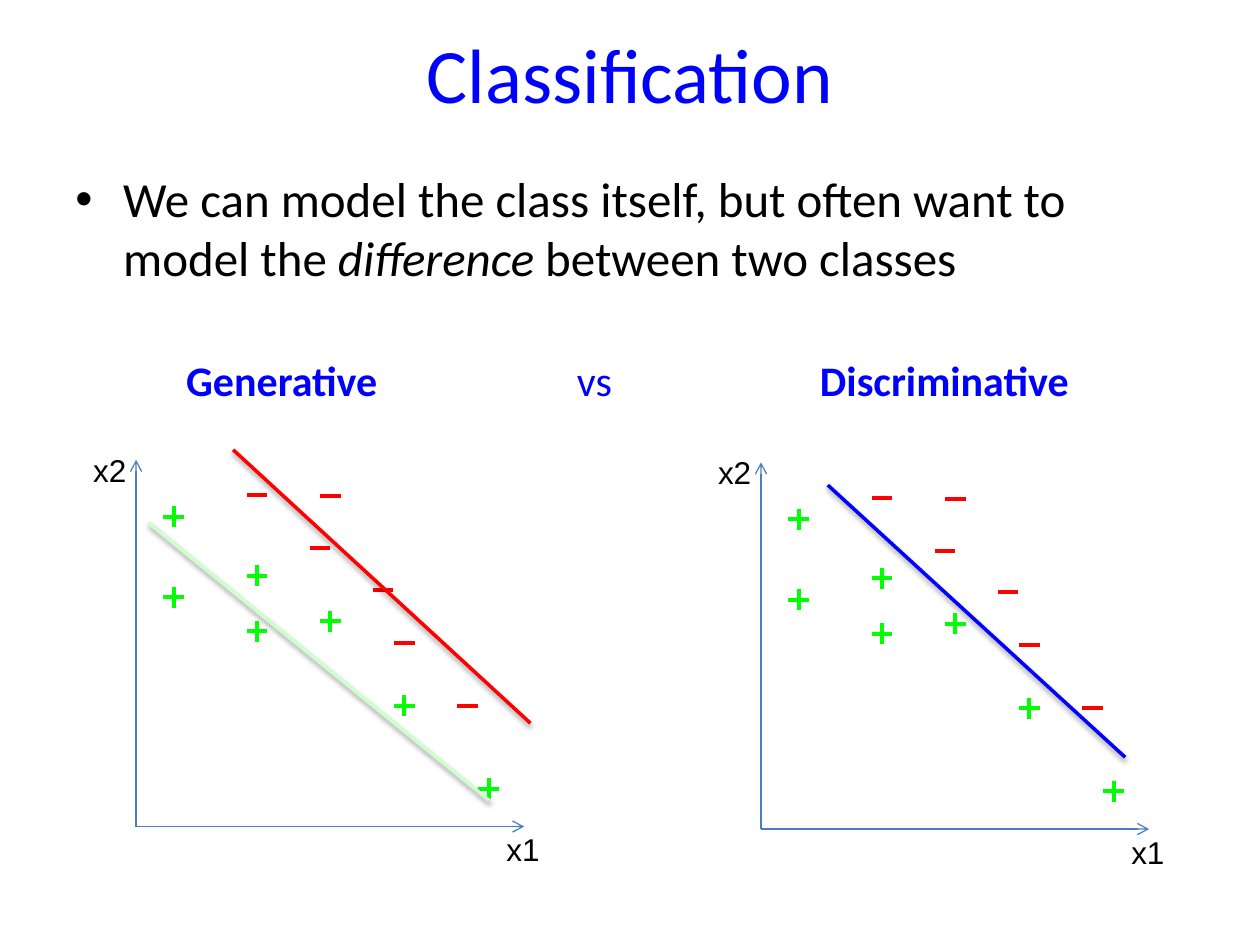
from lxml.etree import SubElement
from pptx import Presentation
from pptx.dml.color import RGBColor
from pptx.enum.shapes import MSO_CONNECTOR as Connector
from pptx.enum.text import MSO_ANCHOR as Anchor, PP_ALIGN as Align
from pptx.oxml.ns import qn
from pptx.util import Inches, Pt

BLUE = RGBColor(0x00, 0x00, 0xFF)
RED = RGBColor(0xFF, 0x00, 0x00)
GREEN = RGBColor(0x00, 0xFF, 0x00)
PALE_GREEN = RGBColor(0xCC, 0xFF, 0xCC)
AXIS_BLUE = RGBColor(0x4B, 0x7E, 0xBC)
BLACK = RGBColor(0x00, 0x00, 0x00)

MARK_RADIUS = 0.083
NEGATIVES = [(1.54, 2.62), (1.96, 1.88), (0.96, 2.63),
             (2.63, 0.96), (2.13, 1.46), (1.46, 2.21)]
POSITIVES = [(0.96, 1.99), (1.54, 1.63), (0.3, 1.82), (0.3, 2.46),
             (0.96, 1.55), (2.13, 0.96), (2.8, 0.3)]
GENERATIVE_LINES = [((0.1, 2.41), (2.8, 0.21), PALE_GREEN),
                    ((0.77, 2.99), (3.13, 0.82), RED)]
DISCRIMINATIVE_LINES = [((0.53, 2.73), (2.89, 0.57), BLUE)]


def format_run(run, size, color, font="Calibri", bold=False, italic=False):
    run.font.name = font
    run.font.size = Pt(size)
    run.font.color.rgb = color
    run.font.bold = bold
    run.font.italic = italic


def add_line(shapes, start, end, color, width):
    line = shapes.add_connector(Connector.STRAIGHT, *map(Inches, (*start, *end)))
    line.line.color.rgb = color
    line.line.width = Pt(width)
    effects = SubElement(line._element.spPr, qn("a:effectLst"))
    return line, effects


def add_axis(shapes, start, end):
    axis, _ = add_line(shapes, start, end, AXIS_BLUE, 0.75)
    SubElement(axis.line._get_or_add_ln(), qn("a:tailEnd"), type="arrow")


def add_boundary(shapes, start, end, color):
    _, effects = add_line(shapes, start, end, color, 2)
    shadow = SubElement(effects, qn("a:outerShdw"), blurRad=str(Pt(3.1)),
                        dist=str(Pt(1.6)), dir="5400000", rotWithShape="0")
    shade = SubElement(shadow, qn("a:srgbClr"), val="000000")
    SubElement(shade, qn("a:alpha"), val="38000")


def add_dash(shapes, x, y, color):
    add_line(shapes, (x - MARK_RADIUS, y), (x + MARK_RADIUS, y), color, 2.25)


def add_plus(shapes, x, y):
    parts = shapes.add_group_shape().shapes
    add_dash(parts, x, y, GREEN)
    add_line(parts, (x, y + MARK_RADIUS), (x, y - MARK_RADIUS), GREEN, 2.25)


def add_axis_label(shapes, x, y, text):
    label = shapes.add_textbox(Inches(x), Inches(y), Inches(0.48), Inches(0.4))
    label.text_frame.word_wrap = False
    label.text_frame.text = text
    format_run(label.text_frame.paragraphs[0].runs[0], 18, BLACK, "Arial")


def place_title(page, left, top, width, height):
    title = page.shapes.title
    title.left, title.top = Inches(left), Inches(top)
    title.width, title.height = Inches(width), Inches(height)
    frame = title.text_frame
    frame.text = "Classification"
    frame.vertical_anchor = Anchor.MIDDLE
    para = frame.paragraphs[0]
    para.alignment = Align.CENTER
    format_run(para.runs[0], 44, BLUE)


def place_body(page, left, top, width, height):
    box = page.shapes.add_textbox(*map(Inches, (left, top, width, height)))
    frame = box.text_frame
    frame.word_wrap = True

    statement = frame.paragraphs[0]
    statement.space_before = Pt(5.6)
    for text, italic in [
        ("We can model the class itself, but often want to model the ", False),
        ("difference", True),
        (" between two classes", False),
    ]:
        run = statement.add_run()
        run.text = text
        format_run(run, 28, BLACK, italic=italic)
    settings = statement._p.get_or_add_pPr()
    settings.set("marL", str(Inches(0.38)))
    settings.set("indent", str(Inches(-0.38)))
    SubElement(settings, qn("a:buFont"), typeface="Arial")
    SubElement(settings, qn("a:buChar"), char="•")

    headings = frame.add_paragraph()
    headings.space_before = Pt(39)
    tabs = SubElement(headings._p.get_or_add_pPr(), qn("a:tabLst"))
    for text, stop, bold in [("Generative", 0.88, True), ("vs", 3.98, False),
                             ("Discriminative", 5.91, True)]:
        SubElement(tabs, qn("a:tab"), pos=str(Inches(stop)), algn="l")
        run = headings.add_run()
        run.text = "\t" + text
        format_run(run, 24, BLUE, bold=bold)


def place_plot(page, left, top, width, height, boundaries):
    shapes = page.shapes
    bottom = top + height

    def locate(point):
        return left + point[0], bottom - point[1]

    add_axis(shapes, (left, bottom), (left, top))
    add_axis(shapes, (left, bottom), (left + width, bottom))
    add_axis_label(shapes, left - 0.44, top - 0.12, "x2")
    add_axis_label(shapes, left + width - 0.24, bottom - 0.02, "x1")
    for point in NEGATIVES:
        add_dash(shapes, *locate(point), RED)
    for point in POSITIVES:
        add_plus(shapes, *locate(point))
    for start, end, color in boundaries:
        add_boundary(shapes, locate(start), locate(end), color)


def main():
    deck = Presentation()
    deck.slide_width, deck.slide_height = Inches(10), Inches(7.5)
    page = deck.slides.add_slide(deck.slide_layouts[5])
    place_title(page, 0.5, -0.05, 9, 1.25)
    place_body(page, 0.5, 1.29, 9, 4.95)
    place_plot(page, 1.08, 3.65, 3.08, 2.91, GENERATIVE_LINES)
    place_plot(page, 6.04, 3.67, 3.08, 2.91, DISCRIMINATIVE_LINES)
    deck.save("out.pptx")


if __name__ == "__main__":
    main()
